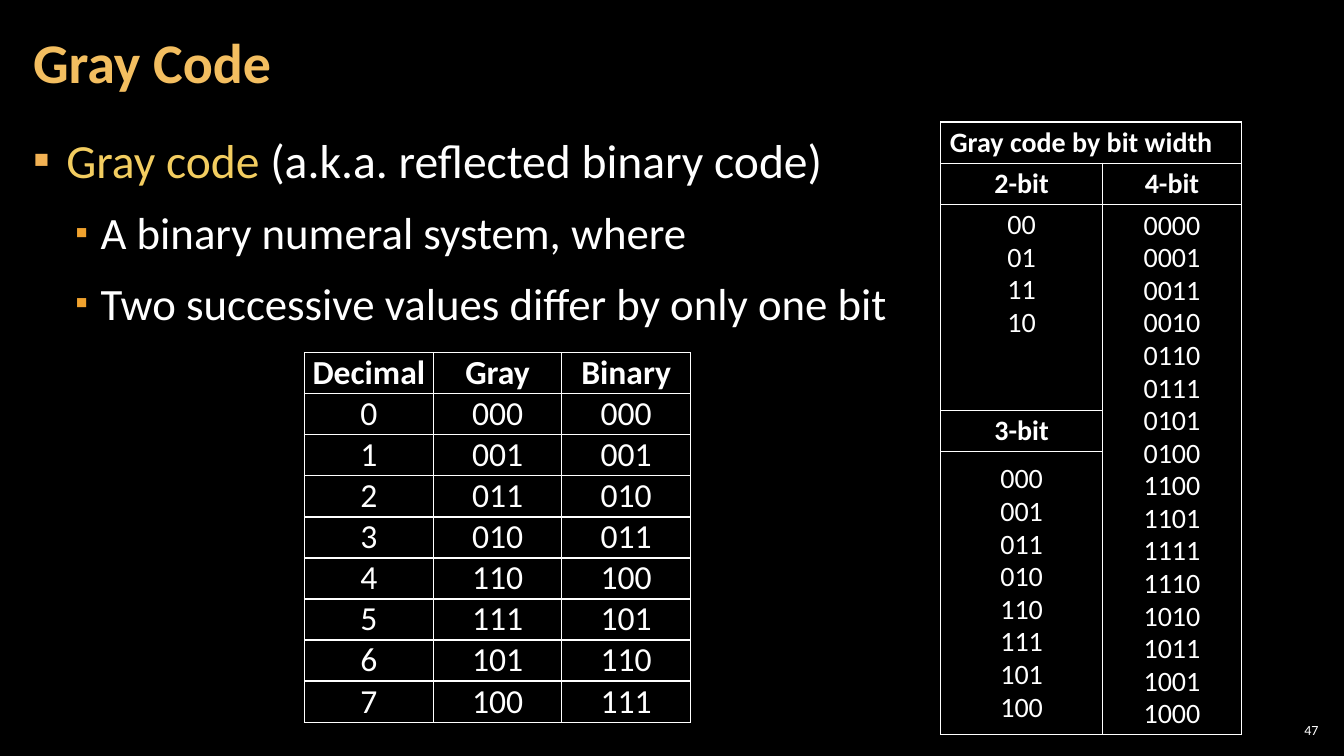
from lxml import etree
from pptx import Presentation
from pptx import util as u
from pptx.dml.color import RGBColor
from pptx.enum import text
from pptx.oxml import ns

BLACK = RGBColor(0x00, 0x00, 0x00)
WHITE = RGBColor(0xFF, 0xFF, 0xFF)
GOLD = RGBColor(0xF3, 0xBE, 0x60)
YELLOW = RGBColor(0xF3, 0xCD, 0x60)
BULLET_1 = RGBColor(0xF2, 0xB2, 0x54)
BULLET_2 = RGBColor(0xF0, 0xA2, 0x2E)
FONT = "Calibri"
LEFT, CENTER, RIGHT = text.PP_ALIGN.LEFT, text.PP_ALIGN.CENTER, text.PP_ALIGN.RIGHT
TOP, MIDDLE = text.MSO_ANCHOR.TOP, text.MSO_ANCHOR.MIDDLE

# Grid of 64 columns by 36 rows
SLIDE_W, SLIDE_H = u.Inches(13.33), u.Inches(7.5)


def cols(n):
    return int(SLIDE_W * n / 64)


def rows(n):
    return int(SLIDE_H * n / 36)


def gray_codes(bits):
    return [f"{i ^ (i >> 1):0{bits}b}" for i in range(2 ** bits)]


def place(sp, col, row, width, height):
    sp.left, sp.top = cols(col), rows(row)
    sp.width, sp.height = cols(width), rows(height)


def write(p, *lines, size=20, color=WHITE, bold=False, align=LEFT, spacing=None):
    """Add lines of text, parted by line breaks, to a paragraph."""
    p.alignment = align
    if spacing:
        p.line_spacing = spacing
    for i, line in enumerate(lines):
        if i:
            p.add_line_break()
        r = p.add_run()
        r.text = line
        r.font.name, r.font.size, r.font.bold = FONT, u.Pt(size), bold
        r.font.color.rgb = color


def set_frame(tf, anchor, side):
    tf.word_wrap = True
    tf.auto_size = text.MSO_AUTO_SIZE.NONE
    tf.vertical_anchor = anchor
    tf.margin_left = tf.margin_right = u.Inches(side)
    tf.margin_top = tf.margin_bottom = u.Inches(0.04)


def add_bullet(p, color, percent, margin, indent):
    pPr = p._p.get_or_add_pPr()
    pPr.set("marL", str(u.Inches(margin)))
    pPr.set("indent", str(-u.Inches(indent)))
    bu_color = etree.SubElement(pPr, ns.qn("a:buClr"))
    etree.SubElement(bu_color, ns.qn("a:srgbClr"), val=str(color))
    etree.SubElement(pPr, ns.qn("a:buSzPct"), val=str(percent * 1000))
    etree.SubElement(pPr, ns.qn("a:buFont"), typeface=FONT)
    etree.SubElement(pPr, ns.qn("a:buChar"), char="▪")


def add_list(tf, items):
    for i, (level, parts) in enumerate(items):
        p = tf.paragraphs[0] if i == 0 else tf.add_paragraph()
        p.level = level
        if level:
            add_bullet(p, BULLET_2, 80, 0.67, 0.25)
        else:
            add_bullet(p, BULLET_1, 100, 0.33, 0.33)
        p.space_before, p.space_after = u.Pt(6 if i else 0), u.Pt(6)
        for words, color in parts:
            write(p, words, size=32 if level else 34, color=color)


def add_grid(s, col, row, widths, heights):
    """Add a black table with thin white borders."""
    table = s.shapes.add_table(len(heights), len(widths), cols(col), rows(row),
                               cols(sum(widths)), rows(sum(heights))).table
    table.first_row = table.horz_banding = False
    for column, width in zip(table.columns, widths):
        column.width = cols(width)
    for line, height in zip(table.rows, heights):
        line.height = rows(height)
    for cell in table.iter_cells():
        tcPr = cell._tc.get_or_add_tcPr()
        for side in ("lnL", "lnR", "lnT", "lnB"):
            ln = etree.SubElement(tcPr, ns.qn(f"a:{side}"), w=str(u.Pt(1)))
            fill = etree.SubElement(ln, ns.qn("a:solidFill"))
            etree.SubElement(fill, ns.qn("a:srgbClr"), val=str(WHITE))
        cell.fill.solid()
        cell.fill.fore_color.rgb = BLACK
    return table


def fill_cell(cell, *lines, margins=(0.09, 0.04), anchor=MIDDLE, align=CENTER, **fmt):
    cell.margin_left = cell.margin_right = u.Inches(margins[0])
    cell.margin_top = cell.margin_bottom = u.Inches(margins[1])
    cell.vertical_anchor = anchor
    write(cell.text_frame.paragraphs[0], *lines, align=align, **fmt)


def add_width_table(s):
    table = add_grid(s, 44.8, 5.81, (7.7, 6.62), (1.97, 1.97, 9.8, 1.97, 13.47))
    table.cell(0, 0).merge(table.cell(0, 1))
    table.cell(2, 1).merge(table.cell(4, 1))
    fill_cell(table.cell(0, 0), "Gray code by bit width", bold=True,
              align=LEFT, spacing=0.95)
    for bits, row, col, anchor in ((2, 1, 0, TOP), (4, 1, 1, MIDDLE), (3, 3, 0, MIDDLE)):
        fill_cell(table.cell(row, col), f"{bits}-bit", bold=True, spacing=0.95)
        fill_cell(table.cell(row + 1, col), *gray_codes(bits), anchor=anchor, spacing=0.95)


def add_decimal_table(s):
    codes = gray_codes(3)
    values = [("Decimal", "Gray", "Binary")]
    values += [(str(n), code, f"{n:03b}") for n, code in enumerate(codes)]
    table = add_grid(s, 14.5, 16.8, [6.13] * 3, [1.95] * len(values))
    for i, record in enumerate(values):
        for j, value in enumerate(record):
            fill_cell(table.cell(i, j), value, size=24, bold=i == 0, margins=(0, 0))


def main():
    prs = Presentation()
    prs.slide_width, prs.slide_height = SLIDE_W, SLIDE_H
    s = prs.slides.add_slide(prs.slide_layouts[1])
    s.background.fill.solid()
    s.background.fill.fore_color.rgb = BLACK

    # Title
    title = s.shapes.title
    place(title, 1, 0.2, 50.25, 5.8)
    set_frame(title.text_frame, MIDDLE, 0.12)
    write(title.text_frame.paragraphs[0], "Gray Code", size=40, color=GOLD,
          bold=True, spacing=0.9)

    # Definition
    body = s.placeholders[1]
    place(body, 1, 6.05, 62, 29.2)
    set_frame(body.text_frame, TOP, 0.12)
    add_list(body.text_frame, [
        (0, [("Gray code ", YELLOW), ("(a.k.a. reflected binary code)", WHITE)]),
        (1, [("A binary numeral system, where", WHITE)]),
        (1, [("Two successive values differ by only one bit", WHITE)]),
    ])

    # Code tables
    add_width_table(s)
    add_decimal_table(s)

    # Slide number
    number = s.shapes.add_textbox(cols(60.73), rows(34.27), cols(2.25), rows(1))
    set_frame(number.text_frame, MIDDLE, 0.04)
    write(number.text_frame.paragraphs[0], "47", size=10, align=RIGHT)

    prs.save("out.pptx")


if __name__ == "__main__":
    main()
